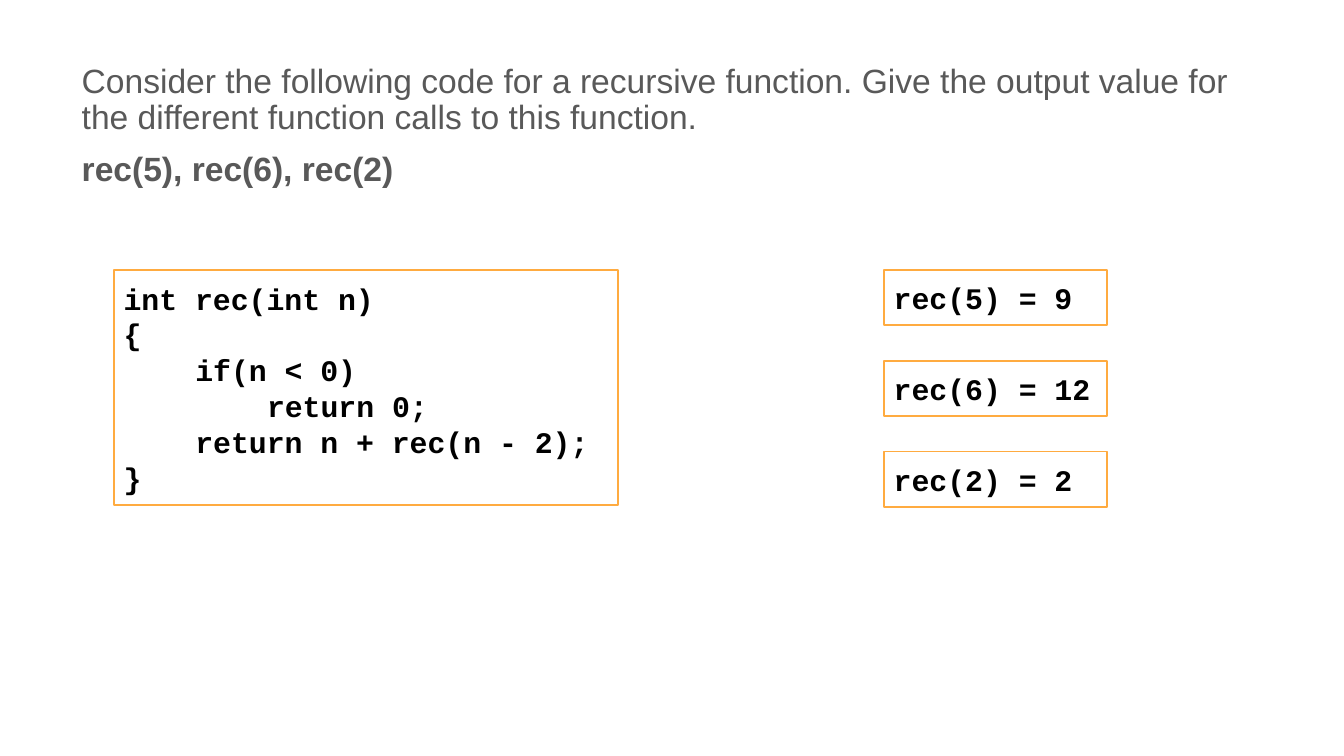
import pptx
import pptx.util
import pptx.dml.color
import pptx.enum.shapes
import pptx.enum.text

RGB = pptx.dml.color.RGBColor
GREY = RGB(0x59, 0x59, 0x59)
BLACK = RGB(0, 0, 0)
WHITE = RGB(0xFF, 0xFF, 0xFF)
AMBER = RGB(0xFF, 0xAB, 0x40)

Inches, Pt = pptx.util.Inches, pptx.util.Pt
WIDE = 10
HIGH = WIDE * 9 / 16
TOP, LEFT, RIGHT = 2.01, 0.085 * WIDE, 0.658 * WIDE
ROW = 0.12 * HIGH
TAB = Pt(4 * 9.6)  # four code characters at 16 pt

TASK = dict(size=Pt(18), name="Arial")
CODE = dict(size=Pt(16), name="Courier New", bold=True)
LINES = [
    (0, "int rec(int n)"),
    (0, "{"),
    (1, "if(n < 0)"),
    (2, "return 0;"),
    (1, "return n + rec(n - 2);"),
    (0, "}"),
]
CALLS = ["rec(5) = 9", "rec(6) = 12", "rec(2) = 2"]


def apply(item, form):
    """Set each format value on an object."""
    for key, value in form.items():
        setattr(item, key, value)


def set_frame(frame, side, edge, anchor):
    """Set the margins, wrap and anchor of a text frame."""
    apply(frame, dict(
        word_wrap=True, vertical_anchor=anchor,
        margin_left=Inches(side), margin_right=Inches(side),
        margin_top=Inches(edge), margin_bottom=Inches(edge)))


def add_line(frame, num, text, font, color, para):
    """Write paragraph number num of a frame."""
    line = frame.paragraphs[0] if num == 0 else frame.add_paragraph()
    apply(line, dict(para, alignment=pptx.enum.text.PP_ALIGN.LEFT))
    run = line.add_run()
    run.text = text
    apply(run.font, font)
    run.font.color.rgb = color
    return line


def add_task(slide):
    """Add the question at the top."""
    box = slide.shapes.add_textbox(
        Inches(0.051 * WIDE), Inches(0.38), Inches(0.897 * WIDE), Inches(1.23))
    frame = box.text_frame
    set_frame(frame, 0.1, 0.1, pptx.enum.text.MSO_ANCHOR.TOP)
    para = dict(line_spacing=0.9, space_before=Pt(8))
    add_line(frame, 0, "Consider the following code for a recursive function. "
             "Give the output value for the different function calls to "
             "this function.", TASK, GREY, para)
    add_line(frame, 1, "rec(5), rec(6), rec(2)", dict(TASK, bold=True),
             GREY, para)


def add_code(slide, left, top, width, height, lines):
    """Add a framed box of code, each line with its indent level."""
    box = slide.shapes.add_shape(
        pptx.enum.shapes.MSO_SHAPE.RECTANGLE,
        Inches(left), Inches(top), Inches(width), Inches(height))
    box.shadow.inherit = False
    box.fill.solid()
    box.fill.fore_color.rgb = WHITE
    box.line.color.rgb = AMBER
    box.line.width = Pt(1)
    frame = box.text_frame
    set_frame(frame, 0.07, 0.04, pptx.enum.text.MSO_ANCHOR.MIDDLE)
    for num, (level, text) in enumerate(lines):
        line = add_line(frame, num, text, CODE, BLACK, dict(line_spacing=1.0))
        if level:
            line._p.get_or_add_pPr().set("marL", str(level * TAB))


def main():
    """Build and save the slide."""
    deck = pptx.Presentation()
    apply(deck, dict(slide_width=Inches(WIDE), slide_height=Inches(HIGH)))
    slide = deck.slides.add_slide(deck.slide_layouts[6])
    add_task(slide)
    add_code(slide, LEFT, TOP, 0.375 * WIDE, 1.75, LINES)
    for num, call in enumerate(CALLS):
        add_code(slide, RIGHT, TOP + num * ROW, 0.166 * WIDE, 0.41,
                 [(0, call)])
    deck.save("out.pptx")


main()
